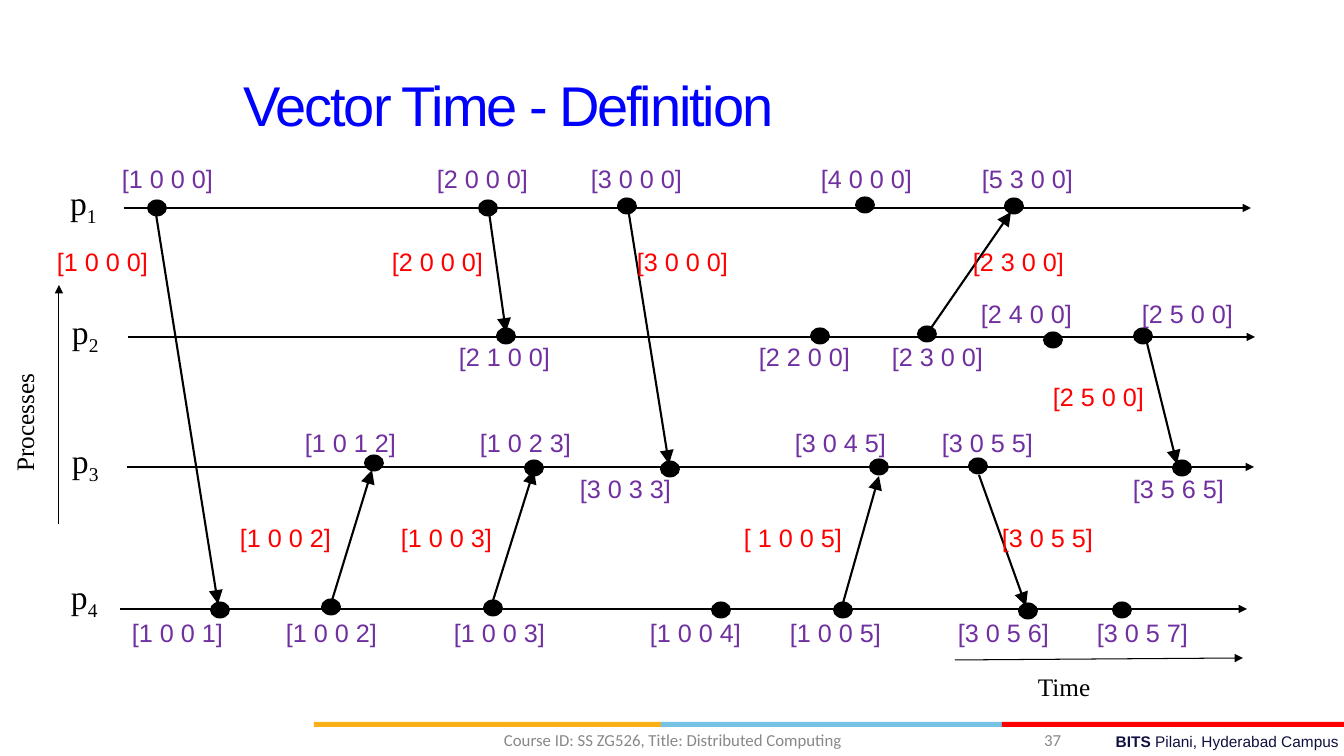
"""Build the vector time space-time diagram slide."""
import pptx
import pptx.util
import pptx.dml.color
import pptx.enum.shapes
import pptx.enum.text
import lxml.etree

BLACK, PURPLE, RED, GREY, NAVY = "000000", "7030A0", "FF0000", "888888", "101141"
SERIF, SANS, FOOTER = "Times New Roman", "Arial", "Calibri"
PX = 914400 / 100.8
DOT_W, DOT_H = 20, 17
TIMELINE_LENGTH = 1127

PROCESSES = [
    {"label": (60, 177), "start": (124, 208),
     "events": [(157, 208), (488, 208), (627, 206), (865, 205), (1014, 206)]},
    {"label": (62, 306), "start": (128, 337),
     "events": [(506, 336), (820, 336), (927, 334), (1053, 340), (1143, 336)]},
    {"label": (62, 435), "start": (127, 467),
     "events": [(374, 463), (534, 468), (670, 469), (879, 467), (978, 466), (1182, 468)]},
    {"label": (61, 571), "start": (120, 609),
     "events": [(220, 610), (331, 607), (493, 608), (721, 610), (843, 610),
                (1028, 611), (1122, 610)]},
]
MESSAGES = [
    (156, 214, 218, 604), (330, 607, 372, 470), (489, 212, 506, 332),
    (628, 208, 669, 464), (843, 603, 879, 476), (929, 331, 1011, 212),
    (979, 475, 1026, 606), (491, 607, 534, 470), (1145, 335, 1177, 464),
]
AXES = [(955, 660, 1243, 658), (59, 524, 59, 285)]
VECTORS = [
    (158, PURPLE, [(122, "[1 0 0 0]"), (437, "[2 0 0 0]"), (591, "[3 0 0 0]"),
                   (821, "[4 0 0 0]"), (982, "[5 3 0 0]")]),
    (241, RED, [(57, "[1 0 0 0]"), (392, "[2 0 0 0]"), (637, "[3 0 0 0]"),
                (973, "[2 3 0 0]")]),
    (293, PURPLE, [(981, "[2 4 0 0]"), (1142, "[2 5 0 0]")]),
    (336, PURPLE, [(459, "[2 1 0 0]"), (759, "[2 2 0 0]"), (892, "[2 3 0 0]")]),
    (376, RED, [(1053, "[2 5 0 0]")]),
    (422, PURPLE, [(305, "[1 0 1 2]"), (480, "[1 0 2 3]"), (795, "[3 0 4 5]"),
                   (942, "[3 0 5 5]")]),
    (468, PURPLE, [(580, "[3 0 3 3]"), (1133, "[3 5 6 5]")]),
    (517, RED, [(240, "[1 0 0 2]"), (401, "[1 0 0 3]"), (744, "[ 1 0 0 5]"),
                (1002, "[3 0 5 5]")]),
    (612, PURPLE, [(132, "[1 0 0 1]"), (286, "[1 0 0 2]"), (454, "[1 0 0 3]"),
                   (650, "[1 0 0 4]"), (790, "[1 0 0 5]"), (958, "[3 0 5 6]"),
                   (1097, "[3 0 5 7]")]),
]
FOOTER_BARS = [(314, 347, "FCB017"), (661, 341, "76C2E5"), (1002, 342, RED)]

ALIGN = pptx.enum.text.PP_ALIGN
ANCHOR = pptx.enum.text.MSO_ANCHOR
SHAPE = pptx.enum.shapes.MSO_SHAPE


def px(n):
    return pptx.util.Emu(round(n * PX))


def rgb(value):
    return pptx.dml.color.RGBColor.from_string(value)


def add_filled(slide, kind, x, y, w, h, color):
    sp = slide.shapes.add_shape(kind, px(x), px(y), px(w), px(h))
    sp.shadow.inherit = False
    sp.fill.solid()
    sp.fill.fore_color.rgb = rgb(color)
    sp.line.fill.background()


def add_arrow(slide, x1, y1, x2, y2, width, head="med"):
    line = slide.shapes.add_connector(
        pptx.enum.shapes.MSO_CONNECTOR.STRAIGHT, px(x1), px(y1), px(x2), px(y2))
    line.line.width = pptx.util.Pt(width)
    line.line.color.rgb = rgb(BLACK)
    ns = pptx.oxml.ns.qn
    lxml.etree.SubElement(line.line._get_or_add_ln(), ns("a:tailEnd"),
                          type="triangle", w=head, len=head)
    lxml.etree.SubElement(line._element.spPr, ns("a:effectLst"))


def add_text(slide, box, runs, size, font, color, align=ALIGN.LEFT,
             anchor=ANCHOR.TOP, inset=5):
    sp = slide.shapes.add_textbox(*map(px, box))
    tf = sp.text_frame
    tf.word_wrap = True
    tf.vertical_anchor = anchor
    tf.margin_left = tf.margin_right = px(inset)
    tf.margin_top = tf.margin_bottom = px(5)
    p = tf.paragraphs[0]
    p.alignment = align
    for text, attributes in runs:
        r = p.add_run()
        r.text = text
        r.font.size = pptx.util.Pt(size)
        r.font.name = font
        r.font.color.rgb = rgb(color)
        for name, value in attributes.items():
            r._r.get_or_add_rPr().set(name, value)
    return tf


def add_frame(slide):
    for x, w, color in FOOTER_BARS:
        add_filled(slide, SHAPE.RECTANGLE, x, 722, w, 5, color)
    add_text(slide, (482, 727, 862, 26),
             [("BITS ", {"b": "1"}), ("Pilani, Hyderabad Campus", {})],
             11, SANS, NAVY, ALIGN.RIGHT)
    add_text(slide, (446, 725, 454, 30),
             [("Course ID: SS ZG526, Title: Distributed Computing", {})],
             12, FOOTER, GREY, ALIGN.CENTER, ANCHOR.MIDDLE)
    add_text(slide, (1027, 725, 39, 30), [("37", {})],
             12, FOOTER, GREY, ALIGN.RIGHT, ANCHOR.MIDDLE)
    add_text(slide, (44, 41, 929, 126),
             [("Vector Time - Definition", {"spc": "-150"})],
             40, SANS, "0000FF", ALIGN.CENTER, ANCHOR.MIDDLE)


def add_diagram(slide):
    for number, process in enumerate(PROCESSES, 1):
        x, y = process["start"]
        add_arrow(slide, x, y, x + TIMELINE_LENGTH, y, 1.5)
        add_text(slide, (*process["label"], 91, 55),
                 [("p", {}), (str(number), {"baseline": "-25000"})],
                 24, SERIF, BLACK, inset=10)
        for cx, cy in process["events"]:
            add_filled(slide, SHAPE.OVAL, cx - DOT_W / 2, cy - DOT_H / 2,
                       DOT_W, DOT_H, BLACK)
    for message in MESSAGES:
        add_arrow(slide, *message, 1.5, "lg")
    for axis in AXES:
        add_arrow(slide, *axis, 0.75)
    add_text(slide, (1028, 666, 147, 45), [("Time", {})], 18, SERIF, BLACK, inset=10)
    tf = add_text(slide, (4, 249, 55, 233), [("Processes", {})], 18, SERIF, BLACK)
    tf.margin_top = tf.margin_bottom = px(10)
    tf._txBody.bodyPr.set("vert", "vert270")
    for y, color, labels in VECTORS:
        for x, text in labels:
            add_text(slide, (x - 5, y, 115, 38), [(text, {})], 18, SANS, color)


def main():
    prs = pptx.Presentation()
    prs.slide_width, prs.slide_height = px(1344), px(756)
    slide = prs.slides.add_slide(prs.slide_layouts[6])
    add_frame(slide)
    add_diagram(slide)
    prs.save("out.pptx")


if __name__ == "__main__":
    main()
